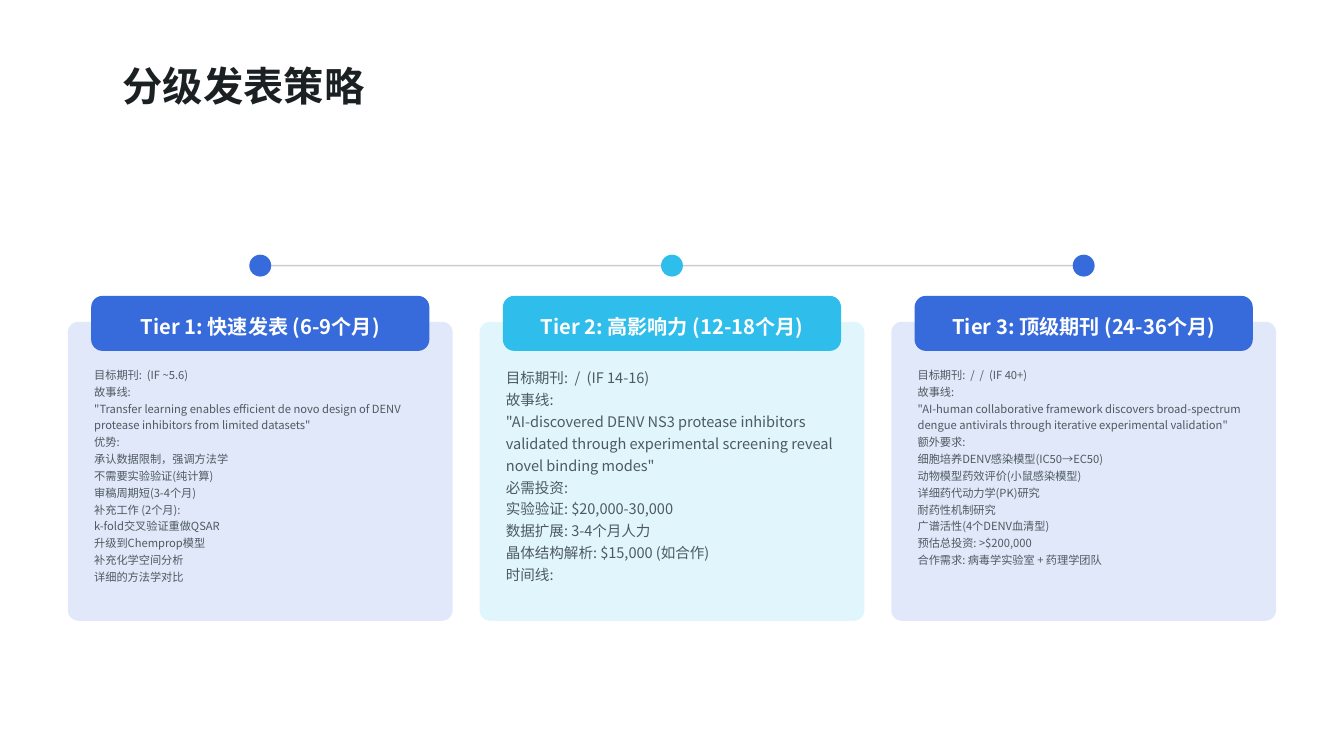
import pptx
import pptx.dml.color
import pptx.enum.shapes
import pptx.enum.text
import pptx.oxml
import pptx.oxml.ns
import pptx.util
from pptx.util import Cm

FONT = "Noto Sans CJK SC"
COLORS = {
    "blue": "376ADA",
    "cyan": "2FBEEB",
    "title": "1B2022",
    "body": "4D5B61",
    "line": "808080",
    "white": "FFFFFF",
}
SHAPES = pptx.enum.shapes.MSO_SHAPE
ALIGN = pptx.enum.text.PP_ALIGN
ANCHOR = pptx.enum.text.MSO_ANCHOR

# Each tier: color, body text size, heading, body lines
TIERS = [
    ("blue", 10, "Tier 1: 快速发表 (6-9个月)", [
        "目标期刊:  (IF ~5.6)",
        "故事线:",
        '"Transfer learning enables efficient de novo design of DENV '
        'protease inhibitors from limited datasets"',
        "优势:",
        "承认数据限制，强调方法学",
        "不需要实验验证(纯计算)",
        "审稿周期短(3-4个月)",
        "补充工作 (2个月):",
        "k-fold交叉验证重做QSAR",
        "升级到Chemprop模型",
        "补充化学空间分析",
        "详细的方法学对比",
    ]),
    ("cyan", 13, "Tier 2: 高影响力 (12-18个月)", [
        "目标期刊:  /  (IF 14-16)",
        "故事线:",
        '"AI-discovered DENV NS3 protease inhibitors validated through '
        'experimental screening reveal novel binding modes"',
        "必需投资:",
        "实验验证: $20,000-30,000",
        "数据扩展: 3-4个月人力",
        "晶体结构解析: $15,000 (如合作)",
        "时间线:",
    ]),
    ("blue", 10, "Tier 3: 顶级期刊 (24-36个月)", [
        "目标期刊:  /  /  (IF 40+)",
        "故事线:",
        '"AI-human collaborative framework discovers broad-spectrum '
        'dengue antivirals through iterative experimental validation"',
        "额外要求:",
        "细胞培养DENV感染模型(IC50→EC50)",
        "动物模型药效评价(小鼠感染模型)",
        "详细药代动力学(PK)研究",
        "耐药性机制研究",
        "广谱活性(4个DENV血清型)",
        "预估总投资: >$200,000",
        "合作需求: 病毒学实验室 + 药理学团队",
    ]),
]

# Horizontal layout in cm
CARD_LEFT, CARD_WIDTH, CARD_STEP = 2.14, 12.12, 12.97
TAB_WIDTH, TAB_TEXT_WIDTH, BODY_WIDTH = 10.6, 10.06, 10.42
DOT_SIZE, LINE_Y = 0.69, 8.37


def rgb(name):
    return pptx.dml.color.RGBColor.from_string(COLORS[name])


def set_alpha(fill_parent, percent):
    """Make the solid color below an element partly transparent."""
    color = fill_parent.find(".//" + pptx.oxml.ns.qn("a:srgbClr"))
    alpha = color.makeelement(pptx.oxml.ns.qn("a:alpha"), {"val": str(percent * 1000)})
    color.append(alpha)


def add_block(page, kind, left, top, width, height, color, radius=None, outline=False):
    shape = page.shapes.add_shape(kind, Cm(left), Cm(top), Cm(width), Cm(height))
    shape.shadow.inherit = False
    shape.fill.solid()
    shape.fill.fore_color.rgb = rgb(color)
    if radius is not None:
        shape.adjustments[0] = radius
    if outline:
        shape.line.color.rgb = rgb(color)
        shape.line.width = pptx.util.Pt(1.5)
    else:
        shape.line.fill.background()
    return shape


def add_text(page, left, top, width, height, lines, size, color,
             bold=False, align=ALIGN.LEFT, anchor=ANCHOR.MIDDLE):
    box = page.shapes.add_textbox(Cm(left), Cm(top), Cm(width), Cm(height))
    frame = box.text_frame
    frame.word_wrap = True
    frame.vertical_anchor = anchor
    frame.margin_left = frame.margin_right = frame.margin_top = frame.margin_bottom = 0
    frame.text = "\n".join(lines)
    for para in frame.paragraphs:
        para.alignment = align
        para.line_spacing = 1.25
        para.font.size = pptx.util.Pt(size)
        para.font.bold = bold
        para.font.name = FONT
        para.font.color.rgb = rgb(color)
        # East Asian characters take their own font entry
        for span in para.runs:
            properties = span._r.get_or_add_rPr()
            properties.append(properties.makeelement(
                pptx.oxml.ns.qn("a:ea"), {"typeface": FONT}))


def add_timeline(page, start, end):
    line = page.shapes.add_connector(
        pptx.enum.shapes.MSO_CONNECTOR.STRAIGHT, Cm(start), Cm(LINE_Y), Cm(end), Cm(LINE_Y))
    line.line.color.rgb = rgb("line")
    line.line.width = pptx.util.Pt(1.5)
    properties = line._element.spPr
    set_alpha(properties, 40)
    properties.append(properties.makeelement(pptx.oxml.ns.qn("a:effectLst"), {}))


def add_tier(page, center, color, size, heading, lines):
    # Timeline dot
    add_block(page, SHAPES.OVAL, center - DOT_SIZE / 2, LINE_Y - DOT_SIZE / 2,
              DOT_SIZE, DOT_SIZE, color)
    # Pale card with its text
    card = add_block(page, SHAPES.ROUNDED_RECTANGLE, center - CARD_WIDTH / 2, 10.14,
                     CARD_WIDTH, 9.42, color, radius=0.035)
    set_alpha(card._element.spPr, 15)
    add_text(page, center - BODY_WIDTH / 2 - 0.02, 11.5, BODY_WIDTH, 7.14, lines, size,
             "body", anchor=ANCHOR.TOP)
    # Heading tab
    add_block(page, SHAPES.ROUNDED_RECTANGLE, center - TAB_WIDTH / 2, 9.35,
              TAB_WIDTH, 1.68, color, radius=0.197, outline=True)
    add_text(page, center - TAB_TEXT_WIDTH / 2, 9.58, TAB_TEXT_WIDTH, 1.2, [heading], 18,
             "white", bold=True, align=ALIGN.CENTER)


def main():
    deck = pptx.Presentation()
    deck.slide_width, deck.slide_height = Cm(42.34), Cm(23.82)
    page = deck.slides.add_slide(deck.slide_layouts[6])

    # Title
    add_text(page, 3.86, 1.32, 36.25, 2.34, ["分级发表策略"], 36, "title", bold=True)

    # Timeline and tiers
    centers = [CARD_LEFT + CARD_WIDTH / 2 + CARD_STEP * index for index in range(len(TIERS))]
    add_timeline(page, centers[0], centers[-1])
    for center, tier in zip(centers, TIERS):
        add_tier(page, center, *tier)

    deck.save("out.pptx")


if __name__ == "__main__":
    main()
